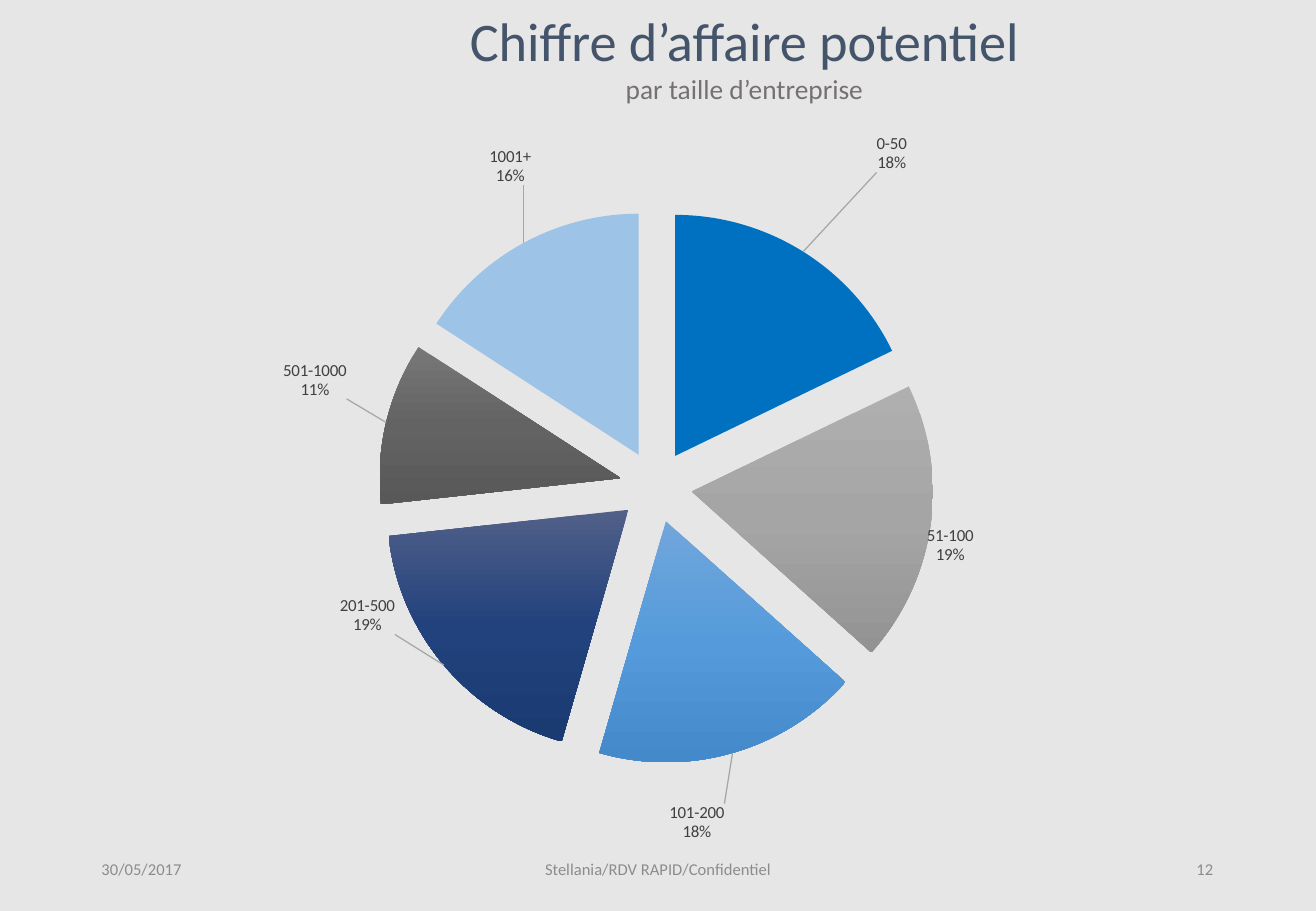
from copy import deepcopy

from lxml import etree
from pptx import Presentation
from pptx.chart.data import CategoryChartData
from pptx.dml.color import RGBColor
from pptx.enum.chart import XL_CHART_TYPE
from pptx.enum.text import MSO_ANCHOR, PP_ALIGN
from pptx.oxml import parse_xml
from pptx.oxml.ns import nsdecls, qn
from pptx.util import Inches, Pt

LEFT, MID, RIGHT = PP_ALIGN.LEFT, PP_ALIGN.CENTER, PP_ALIGN.RIGHT
CENTER = MSO_ANCHOR.MIDDLE
PIE = XL_CHART_TYPE.PIE
FONT = "Calibri"
WIDE, HIGH = Inches(10.83), Inches(7.5)
BACK = RGBColor(0xE7, 0xE6, 0xE6)
NAVY = RGBColor(0x44, 0x54, 0x6A)
TAUPE = RGBColor(0x76, 0x71, 0x71)
GREY = RGBColor(0x8C, 0x8C, 0x8C)
DARK = RGBColor(0x40, 0x40, 0x40)
BLUE = RGBColor(0x00, 0x70, 0xC0)
SKY = RGBColor(0x9D, 0xC3, 0xE6)
SILVER = [RGBColor(0xAF, 0xAF, 0xAF), RGBColor(0xA5, 0xA5, 0xA5), RGBColor(0x93, 0x93, 0x93)]
AZURE = [RGBColor(0x71, 0xA6, 0xDB), RGBColor(0x55, 0x9B, 0xDB), RGBColor(0x44, 0x8A, 0xCA)]
INDIGO = [RGBColor(0x51, 0x60, 0x89), RGBColor(0x22, 0x42, 0x7D), RGBColor(0x1A, 0x3A, 0x72)]
SLATE = [RGBColor(0x77, 0x77, 0x77), RGBColor(0x63, 0x63, 0x63), RGBColor(0x58, 0x58, 0x58)]

SLICES = [
    ("0-50", 18, [BLUE], (0.064, -0.1)),
    ("51-100", 19, SILVER, (-0.01, 0)),
    ("101-200", 18, AZURE, (-0.06, 0.06)),
    ("201-500", 19, INDIGO, (-0.04, -0.1)),
    ("501-1000", 11, SLATE, (-0.03, -0.03)),
    ("1001+", 16, [SKY], (0.01, -0.07)),
]
FOOTER = [
    ("30/05/2017", 0.068, 0.225, LEFT),
    ("Stellania/RDV RAPID/Confidentiel", 0.331, 0.338, MID),
    ("12", 0.706, 0.225, RIGHT),
]


def place(x, y, w, h):
    """Turn shares of the slide into lengths."""
    return int(x * WIDE), int(y * HIGH), int(w * WIDE), int(h * HIGH)


def add_text(slide, box, text, align, looks):
    """Add a text box with one size and colour for each run."""
    frame = slide.shapes.add_textbox(*place(*box)).text_frame
    frame.word_wrap = True
    frame.vertical_anchor = CENTER
    para = frame.paragraphs[0]
    para.text = text
    para.alignment = align
    for run, (size, color) in zip(para.runs, looks):
        run.font.name = FONT
        run.font.size = Pt(size)
        run.font.color.rgb = color
    return para


def paint(series, idx, colors):
    """Fill a slice with one colour or an even downward blend."""
    fill = series.points[idx].format.fill
    if len(colors) == 1:
        fill.solid()
        fill.fore_color.rgb = colors[0]
        return
    fill.gradient()
    fill.gradient_angle = 270
    stops = series._element.xpath(f"c:dPt[c:idx/@val='{idx}']//a:gsLst")[0]
    stops.insert(1, deepcopy(stops[0]))
    for step, (stop, color) in enumerate(zip(fill.gradient_stops, colors)):
        stop.position = step / (len(colors) - 1)
        stop.color.rgb = color


def layout(x, y, extra=""):
    """Return the XML of a manual layout."""
    return (f'<c:layout><c:manualLayout>{extra}<c:x val="{x}"/><c:y val="{y}"/>'
            "</c:manualLayout></c:layout>")


def add_labels(series):
    """Give each slice a moved label with name, share and leader line."""
    shows = ('<c:dLblPos val="outEnd"/><c:showLegendKey val="0"/><c:showVal val="0"/>'
             '<c:showCatName val="1"/><c:showSerName val="0"/><c:showPercent val="1"/>'
             '<c:showBubbleSize val="0"/><c:separator>\n</c:separator>')
    items = "".join(
        f'<c:dLbl><c:idx val="{idx}"/>{layout(*move)}{shows}</c:dLbl>'
        for idx, (_, _, _, move) in enumerate(SLICES))
    labels = parse_xml(
        f'<c:dLbls {nsdecls("c", "a")}>{items}{shows}<c:showLeaderLines val="1"/>'
        '<c:leaderLines><c:spPr><a:ln w="9525"><a:solidFill><a:srgbClr val="A6A6A6"/>'
        "</a:solidFill></a:ln></c:spPr></c:leaderLines></c:dLbls>")
    series._element.find(qn("c:cat")).addprevious(labels)


def add_pie(slide, box):
    """Add the exploded pie chart."""
    data = CategoryChartData()
    data.categories = [name for name, _, _, _ in SLICES]
    data.add_series("Series 1", [share for _, share, _, _ in SLICES])
    chart = slide.shapes.add_chart(PIE, *place(*box), data).chart
    chart.has_title = False
    chart.has_legend = False
    chart.font.name = FONT
    chart.font.size = Pt(10)
    chart.font.color.rgb = DARK
    series = chart.plots[0].series[0]
    for idx, (_, _, colors, _) in enumerate(SLICES):
        paint(series, idx, colors)
    burst = etree.Element(qn("c:explosion"), val="15")
    series._element.find(qn("c:dPt")).addprevious(burst)
    add_labels(series)
    area = chart._chartSpace.chart.plotArea
    for old in area.findall(qn("c:layout")):
        area.remove(old)
    modes = ('<c:layoutTarget val="inner"/><c:xMode val="edge"/><c:yMode val="edge"/>')
    frame = layout(0, 0.133, modes).replace("<c:layout>", f'<c:layout {nsdecls("c")}>')
    size = '<c:w val="0.954"/><c:h val="0.757"/></c:manualLayout>'
    area.insert(0, parse_xml(frame.replace("</c:manualLayout>", size)))


def main():
    """Build and save the slide."""
    deck = Presentation()
    deck.slide_width, deck.slide_height = WIDE, HIGH
    slide = deck.slides.add_slide(deck.slide_layouts[6])
    slide.background.fill.solid()
    slide.background.fill.fore_color.rgb = BACK
    title = add_text(slide, (0.131, 0, 0.869, 0.123),
                     "Chiffre d’affaire potentiel\vpar taille d’entreprise",
                     MID, [(32.2, NAVY), (16.2, TAUPE)])
    title.space_before = title.space_after = Pt(6)
    add_pie(slide, (0.104, 0.123, 0.827, 0.804))
    for text, x, w, align in FOOTER:
        add_text(slide, (x, 0.927, w, 0.053), text, align, [(9.8, GREY)])
    deck.save("out.pptx")


if __name__ == "__main__":
    main()
